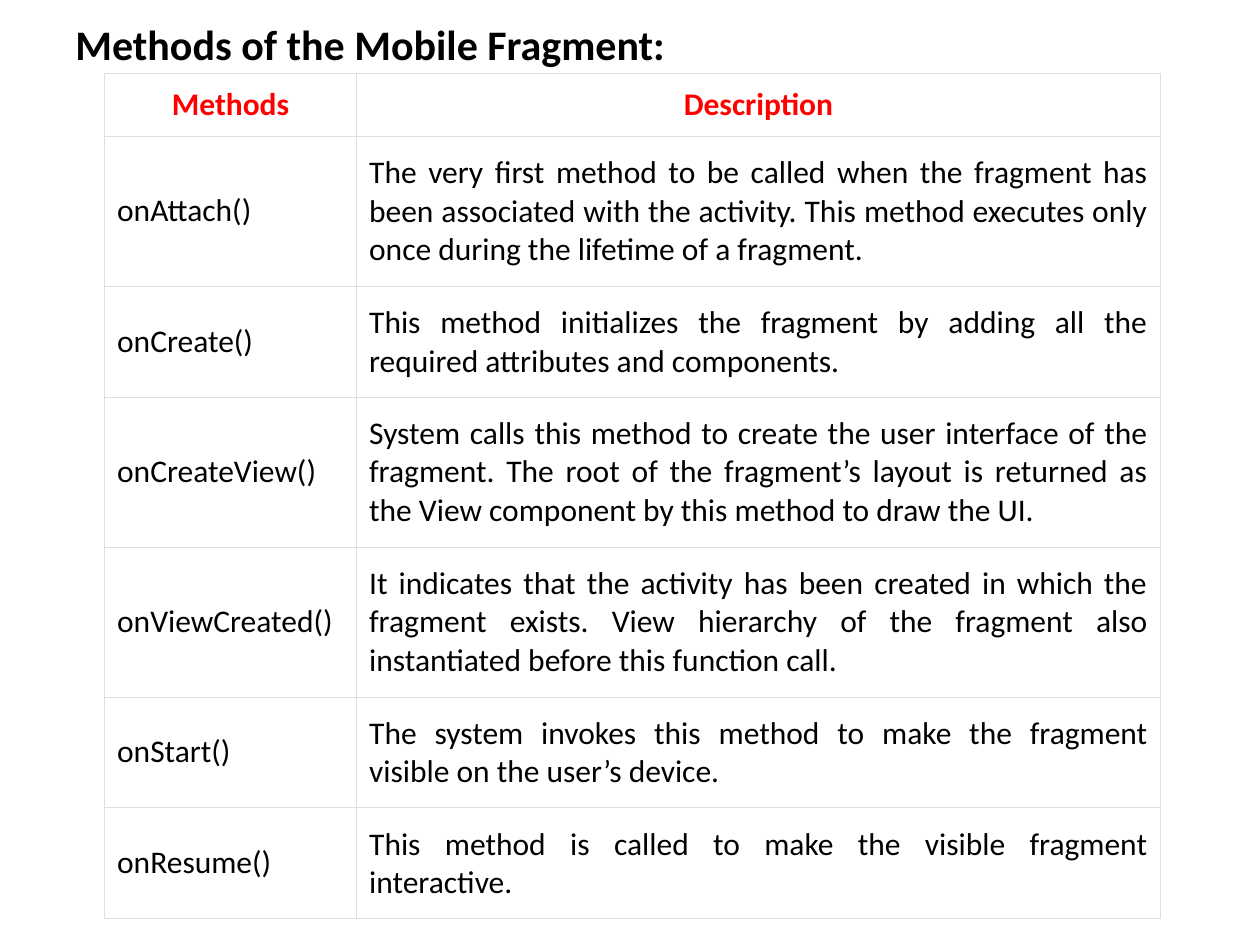
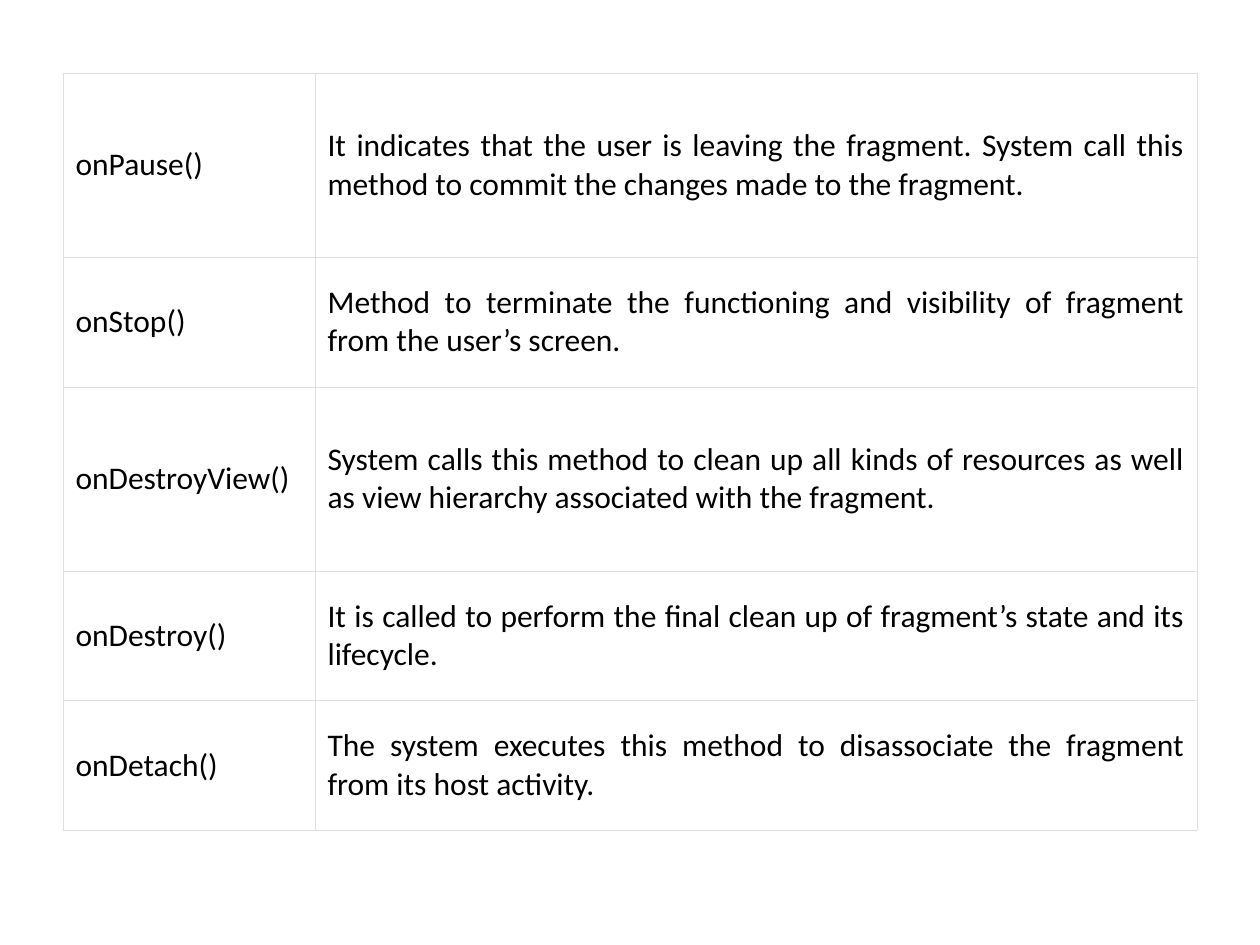
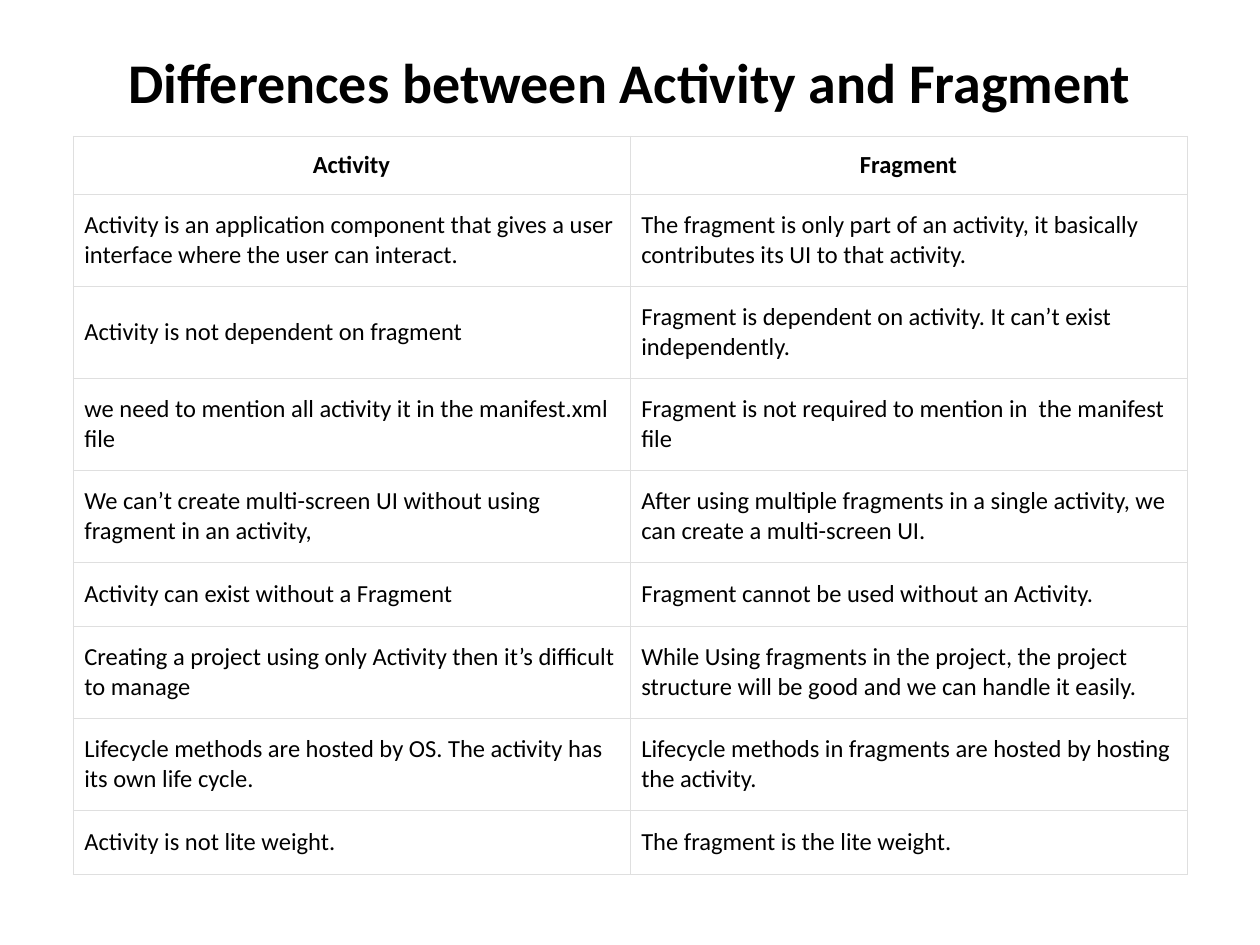
from lxml.etree import SubElement
from pptx import Presentation
from pptx.dml.color import RGBColor
from pptx.enum.text import MSO_ANCHOR, PP_ALIGN
from pptx.oxml.ns import qn
from pptx.util import Inches, Pt

COLORS = {"text": "000000", "header": "FF0000", "border": "DFDFDF", "cell": "FFFFFF"}
FONT = "Calibri"
BORDER_PT = 0.23

METHODS_TITLE = "Methods of the Mobile Fragment:"
METHODS = [
    ("Methods", "Description"),
    ("onAttach()", "The very first method to be called when the fragment has been associated with the activity. This method executes only once during the lifetime of a fragment."),
    ("onCreate()", "This method initializes the fragment by adding all the required attributes and components."),
    ("onCreateView()", "System calls this method to create the user interface of the fragment. The root of the fragment’s layout is returned as the View component by this method to draw the UI."),
    ("onViewCreated()", "It indicates that the activity has been created in which the fragment exists. View hierarchy of the fragment also instantiated before this function call."),
    ("onStart()", "The system invokes this method to make the fragment visible on the user’s device."),
    ("onResume()", "This method is called to make the visible fragment interactive."),
]
MORE_METHODS = [
    ("onPause()", "It indicates that the user is leaving the fragment. System call this method to commit the changes made to the fragment."),
    ("onStop()", "Method to terminate the functioning and visibility of fragment from the user’s screen."),
    ("onDestroyView()", "System calls this method to clean up all kinds of resources as well as view hierarchy associated with the fragment."),
    ("onDestroy()", "It is called to perform the final clean up of fragment’s state and its lifecycle."),
    ("onDetach()", "The system executes this method to disassociate the fragment from its host activity."),
]
DIFFERENCES_TITLE = "Differences between Activity and Fragment"
DIFFERENCES = [
    ("Activity", "Fragment"),
    ("Activity is an application component that gives a user interface where the user can interact.", "The fragment is only part of an activity, it basically contributes its UI to that activity."),
    ("Activity is not dependent on fragment", "Fragment is dependent on activity. It can’t exist independently."),
    ("we need to mention all activity it in the manifest.xml file", "Fragment is not required to mention in  the manifest file"),
    ("We can’t create multi-screen UI without using fragment in an activity,", "After using multiple fragments in a single activity, we can create a multi-screen UI."),
    ("Activity can exist without a Fragment", "Fragment cannot be used without an Activity."),
    ("Creating a project using only Activity then it’s difficult to manage", "While Using fragments in the project, the project structure will be good and we can handle it easily."),
    ("Lifecycle methods are hosted by OS. The activity has its own life cycle.", "Lifecycle methods in fragments are hosted by hosting the activity."),
    ("Activity is not lite weight.", "The fragment is the lite weight."),
]


def rgb(name):
    return RGBColor.from_string(COLORS[name])


def style(p, size, bold=False, color="text", align=PP_ALIGN.LEFT):
    p.alignment = align
    p.font.name = FONT
    p.font.size = Pt(size)
    p.font.bold = bold
    p.font.color.rgb = rgb(color)


def add_title(s, text, box, size, align, anchor):
    tf = s.shapes.add_textbox(*map(Inches, box)).text_frame
    tf.word_wrap = True
    tf.vertical_anchor = anchor
    tf.text = text
    style(tf.paragraphs[0], size, bold=True, align=align)


def add_borders(cell):
    tc_pr = cell._tc.get_or_add_tcPr()
    for side in ("a:lnL", "a:lnR", "a:lnT", "a:lnB"):
        ln = SubElement(tc_pr, qn(side), w=str(Pt(BORDER_PT)))
        fill = SubElement(ln, qn("a:solidFill"))
        SubElement(fill, qn("a:srgbClr"), val=COLORS["border"])


def add_grid(s, rows, left, top, widths, heights, size, side, pad,
             header_pad=None, header_color="text", last_align=PP_ALIGN.LEFT):
    frame = s.shapes.add_table(len(rows), len(widths), Inches(left), Inches(top),
                               Inches(sum(widths)), Inches(sum(heights)))
    table = frame.table
    table.first_row = table.horz_banding = False
    for column, width in zip(table.columns, widths):
        column.width = Inches(width)
    for i, (row, height) in enumerate(zip(rows, heights)):
        table.rows[i].height = Inches(height)
        is_header = header_pad is not None and i == 0
        for j, text in enumerate(row):
            cell = table.cell(i, j)
            add_borders(cell)
            cell.fill.solid()
            cell.fill.fore_color.rgb = rgb("cell")
            cell.vertical_anchor = MSO_ANCHOR.MIDDLE
            cell.margin_left = cell.margin_right = Inches(0.04 if is_header and j == 0 else side)
            cell.margin_top = cell.margin_bottom = Inches(header_pad if is_header else pad)
            cell.text = text
            p = cell.text_frame.paragraphs[0]
            if is_header:
                style(p, size, True, header_color, PP_ALIGN.CENTER)
            else:
                style(p, size, align=last_align if j else PP_ALIGN.LEFT)


def main():
    prs = Presentation()
    prs.slide_width, prs.slide_height = Inches(10), Inches(7.5)
    methods, more_methods, differences = (
        prs.slides.add_slide(prs.slide_layouts[6]) for _ in range(3))

    add_title(methods, METHODS_TITLE, (0.5, 0.1, 9, 6.62), 24,
              PP_ALIGN.JUSTIFY, MSO_ANCHOR.TOP)
    add_grid(methods, METHODS, 0.83, 0.58, [2, 6.38],
             [0.5, 1.19, 0.88, 1.19, 1.19, 0.88, 0.88], 18, 0.1, 0.14,
             header_pad=0.1, header_color="header", last_align=PP_ALIGN.JUSTIFY)

    add_grid(more_methods, MORE_METHODS, 0.5, 0.58, [2, 7],
             [1.46, 1.03, 1.46, 1.03, 1.03], 18, 0.1, 0.15,
             last_align=PP_ALIGN.JUSTIFY)

    add_title(differences, DIFFERENCES_TITLE, (0.5, 0.17, 9, 0.95), 32,
              PP_ALIGN.CENTER, MSO_ANCHOR.MIDDLE)
    add_grid(differences, DIFFERENCES, 0.58, 1.08, [4.42, 4.42],
             [0.46] + [0.73] * 4 + [0.51, 0.73, 0.73, 0.51], 14, 0.09, 0.13,
             header_pad=0.09)

    prs.save("out.pptx")


if __name__ == "__main__":
    main()
